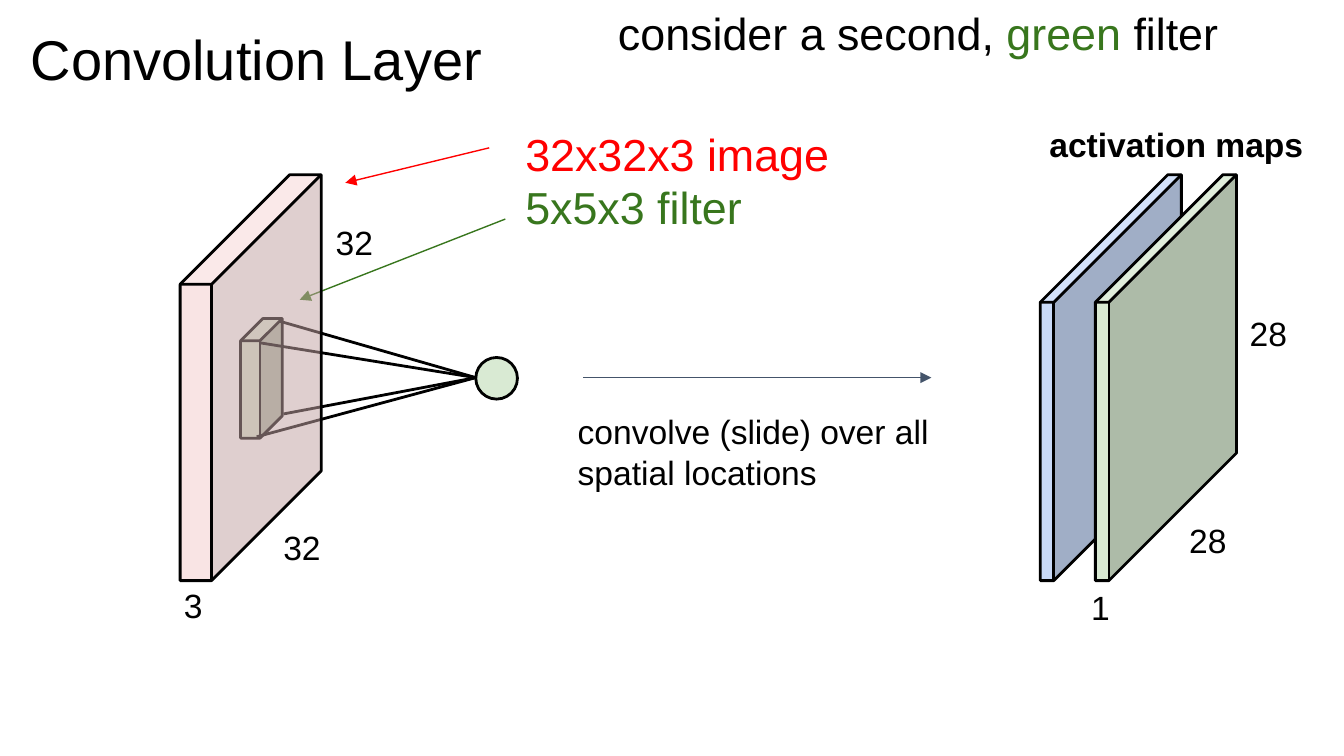
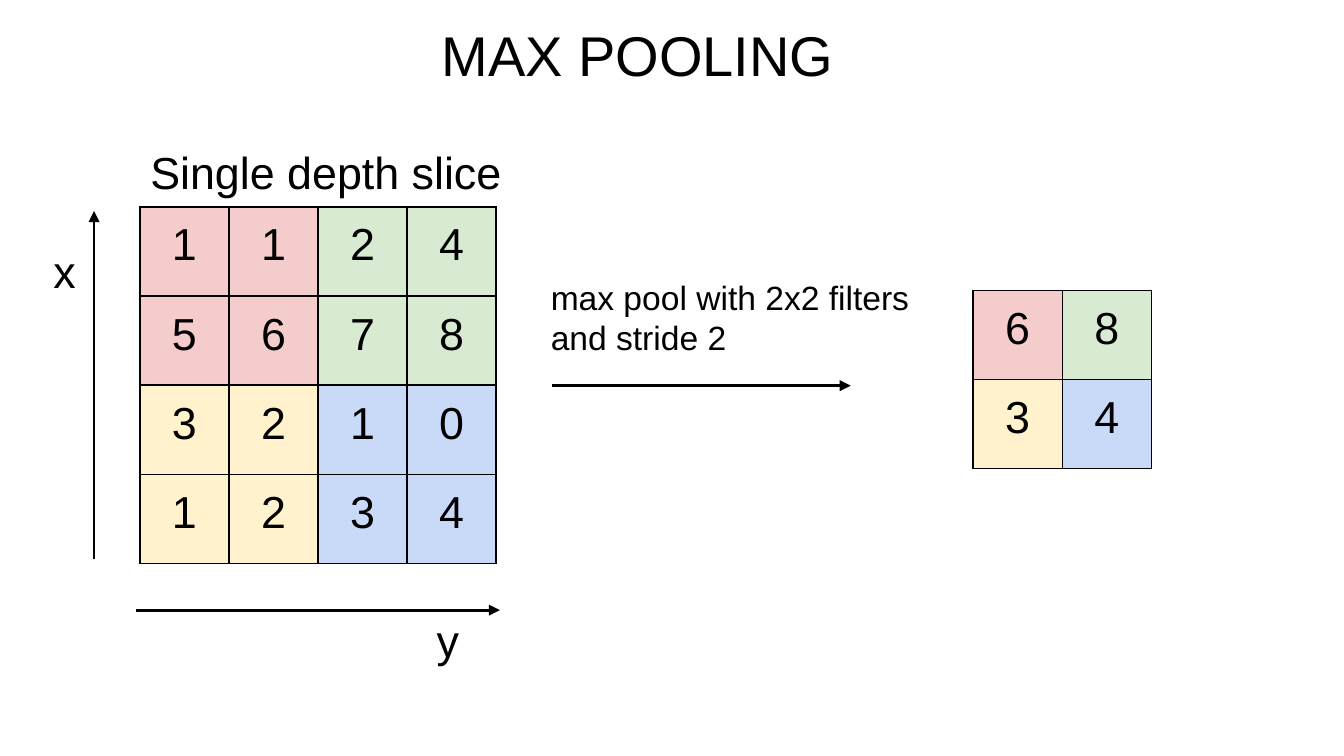
from lxml.etree import SubElement
from pptx import Presentation
from pptx.dml.color import RGBColor
from pptx.enum.shapes import MSO_CONNECTOR, MSO_SHAPE
from pptx.enum.text import PP_ALIGN
from pptx.oxml.ns import qn
from pptx.util import Inches, Pt

# Grid: 100 columns by 56.25 rows of square units
UNIT = Inches(0.1)
COLUMNS, ROWS = 100, 56.25

FONT = "Arial"
TITLE, LARGE, SMALL = 30, 24, 18
THICK, THIN = 1.5, 0.75

BLACK = RGBColor(0x00, 0x00, 0x00)
RED = RGBColor(0xFF, 0x00, 0x00)
GREEN = RGBColor(0x38, 0x76, 0x1D)
SLATE = RGBColor(0x44, 0x54, 0x6A)
PALE_RED = RGBColor(0xF4, 0xCC, 0xCC)
PALE_GREEN = RGBColor(0xD9, 0xEA, 0xD3)
PALE_YELLOW = RGBColor(0xFF, 0xF2, 0xCC)
PALE_BLUE = RGBColor(0xC9, 0xDA, 0xF8)
QUADRANTS = [[PALE_RED, PALE_GREEN], [PALE_YELLOW, PALE_BLUE]]


def units(*lengths):
    return [round(length * UNIT) for length in lengths]


def style(run, size, color=BLACK, bold=False):
    run.font.name = FONT
    run.font.size = Pt(size)
    run.font.bold = bold
    run.font.color.rgb = color


def label(slide, text, box, size=SMALL, color=BLACK, bold=False):
    """Place a text and return its paragraphs."""
    frame = slide.shapes.add_textbox(*units(*box)).text_frame
    frame.word_wrap = True
    frame.margin_left = frame.margin_right = UNIT
    frame.margin_top = frame.margin_bottom = UNIT
    frame.text = text
    for paragraph in frame.paragraphs:
        for run in paragraph.runs:
            style(run, size, color, bold)
    return frame.paragraphs


def solid(slide, kind, box, color, depth=None, opacity=None):
    """Place an outlined shape; depth is the cube's adjustment."""
    body = slide.shapes.add_shape(kind, *units(*box))
    body.shadow.inherit = False
    body.fill.solid()
    body.fill.fore_color.rgb = color
    body.line.color.rgb = BLACK
    body.line.width = Pt(THICK)
    if depth is not None:
        body.adjustments[0] = depth
    if opacity is not None:
        tint = body.fill._xPr.find(qn("a:solidFill"))[0]
        SubElement(tint, qn("a:alpha")).set("val", str(opacity * 1000))


def line(slide, start, end, color=BLACK, width=THICK, arrow=True):
    stroke = slide.shapes.add_connector(
        MSO_CONNECTOR.STRAIGHT, *units(*start, *end))
    stroke.line.color.rgb = color
    stroke.line.width = Pt(width)
    if arrow:
        SubElement(stroke.line._get_or_add_ln(), qn("a:tailEnd")).set(
            "type", "triangle")
    SubElement(stroke._element.spPr, qn("a:effectLst"))


def border(cell, width):
    properties = cell._tc.get_or_add_tcPr()
    for position, side in enumerate(("a:lnL", "a:lnR", "a:lnT", "a:lnB")):
        edge = SubElement(properties, qn(side), w=str(Pt(width)))
        fill = SubElement(edge, qn("a:solidFill"))
        SubElement(fill, qn("a:srgbClr"), val=str(BLACK))
        properties.insert(position, edge)


def number_grid(slide, values, left, top, border_width, pitch=6.63):
    """Square table whose four quadrants have their own colours."""
    count = len(values)
    side = count * pitch
    grid = slide.shapes.add_table(
        count, count, *units(left, top, side, side)).table
    grid.first_row = grid.horz_banding = False
    for index in range(count):
        grid.columns[index].width, grid.rows[index].height = units(pitch, pitch)
    for row, numbers in enumerate(values):
        for column, number in enumerate(numbers):
            cell = grid.cell(row, column)
            cell.margin_left = cell.margin_right = UNIT
            cell.margin_top = cell.margin_bottom = UNIT
            cell.fill.solid()
            cell.fill.fore_color.rgb = QUADRANTS[2 * row // count][2 * column // count]
            border(cell, border_width)
            paragraph = cell.text_frame.paragraphs[0]
            paragraph.text = str(number)
            paragraph.alignment = PP_ALIGN.CENTER
            style(paragraph.runs[0], LARGE)


def max_pool(values):
    """Largest value of each 2x2 block."""
    starts = range(0, len(values), 2)
    return [[max(values[r + i][c + j] for i in (0, 1) for j in (0, 1))
             for c in starts] for r in starts]


def convolution_slide(slide):
    # First activation map, filter and output neuron
    solid(slide, MSO_SHAPE.CUBE, (77.4, 13, 10.5, 30.2), PALE_BLUE, 0.904)
    solid(slide, MSO_SHAPE.CUBE, (17.9, 23.7, 3.1, 8.9), PALE_GREEN, 0.534)
    solid(slide, MSO_SHAPE.OVAL, (35.4, 26.6, 3.1, 3.1), PALE_GREEN)
    for corner in ((19.1, 32.5), (19.3, 25.5), (20.8, 23.9), (21.1, 30.8)):
        line(slide, corner, (35.4, 28.1), arrow=False)

    # Image dimensions
    label(slide, "32", (20.1, 38.2, 5.4, 3.4))
    label(slide, "32", (24, 15.5, 5.4, 3.1))
    label(slide, "3", (12.7, 42.5, 5.4, 2))

    # Title and callouts
    label(slide, "Convolution Layer", (1.3, 0.8, 84.2, 6.9), TITLE)
    callouts = label(slide, "32x32x3 image\n5x5x3 filter",
                     (38.1, 8.4, 39.8, 6), LARGE, RED)
    callouts[1].runs[0].font.color.rgb = GREEN
    line(slide, (36.4, 11), (25.7, 13.6), RED, THIN)
    line(slide, (37.6, 16.3), (22.3, 22.3), GREEN, THIN)

    # Convolution step
    line(slide, (43.4, 28.1), (69.3, 28.1), SLATE, THIN)
    label(slide, "convolve (slide) over all spatial locations",
          (42, 29.6, 35.8, 8.9))

    # Second activation map and its dimensions
    solid(slide, MSO_SHAPE.CUBE, (81.5, 13, 10.5, 30.2), PALE_GREEN, 0.904)
    label(slide, "activation maps", (77.1, 8.2, 22.6, 5.9), bold=True)
    label(slide, "1", (80.2, 42.7, 3.6, 3.4))
    label(slide, "28", (87.5, 37.7, 5.4, 3.4))
    label(slide, "28", (92, 22.3, 5.4, 3.4))

    # Translucent image volume over the filter
    solid(slide, MSO_SHAPE.CUBE, (13.4, 13, 10.5, 30.2), PALE_RED, 0.777, 52)

    # Remark
    remark = label(slide, "consider a second, ", (45, -0.6, 55.4, 3.1), LARGE)[0]
    for words, color in (("green ", GREEN), ("filter", BLACK)):
        run = remark.add_run()
        run.text = words
        style(run, LARGE, color)


def pooling_slide(slide):
    # Depth slice with its axes
    depth_slice = [[1, 1, 2, 4], [5, 6, 7, 8], [3, 2, 1, 0], [1, 2, 3, 4]]
    number_grid(slide, depth_slice, 10.4, 15.4, 1)
    label(slide, "Single depth slice", (10.2, 9.8, 28.6, 6.2), LARGE)
    line(slide, (7, 41.6), (7, 15.7))
    label(slide, "x", (3, 17.1, 4.3, 5.1), LARGE)
    line(slide, (10.1, 45.4), (37.2, 45.4))
    label(slide, "y", (31.5, 44.6, 4.3, 4), LARGE)

    # Pooling step and result
    line(slide, (41.1, 28.7), (63.3, 28.7))
    label(slide, "max pool with 2x2 filters and stride 2", (40, 19.6, 29.3, 8))
    number_grid(slide, max_pool(depth_slice), 72.4, 21.6, THIN)

    label(slide, "MAX POOLING", (31.9, 0.5, 46.7, 7.2), TITLE)


def main():
    deck = Presentation()
    deck.slide_width, deck.slide_height = units(COLUMNS, ROWS)
    blank = deck.slide_layouts[6]
    for build in (convolution_slide, pooling_slide):
        build(deck.slides.add_slide(blank))
    deck.save("out.pptx")


if __name__ == "__main__":
    main()
